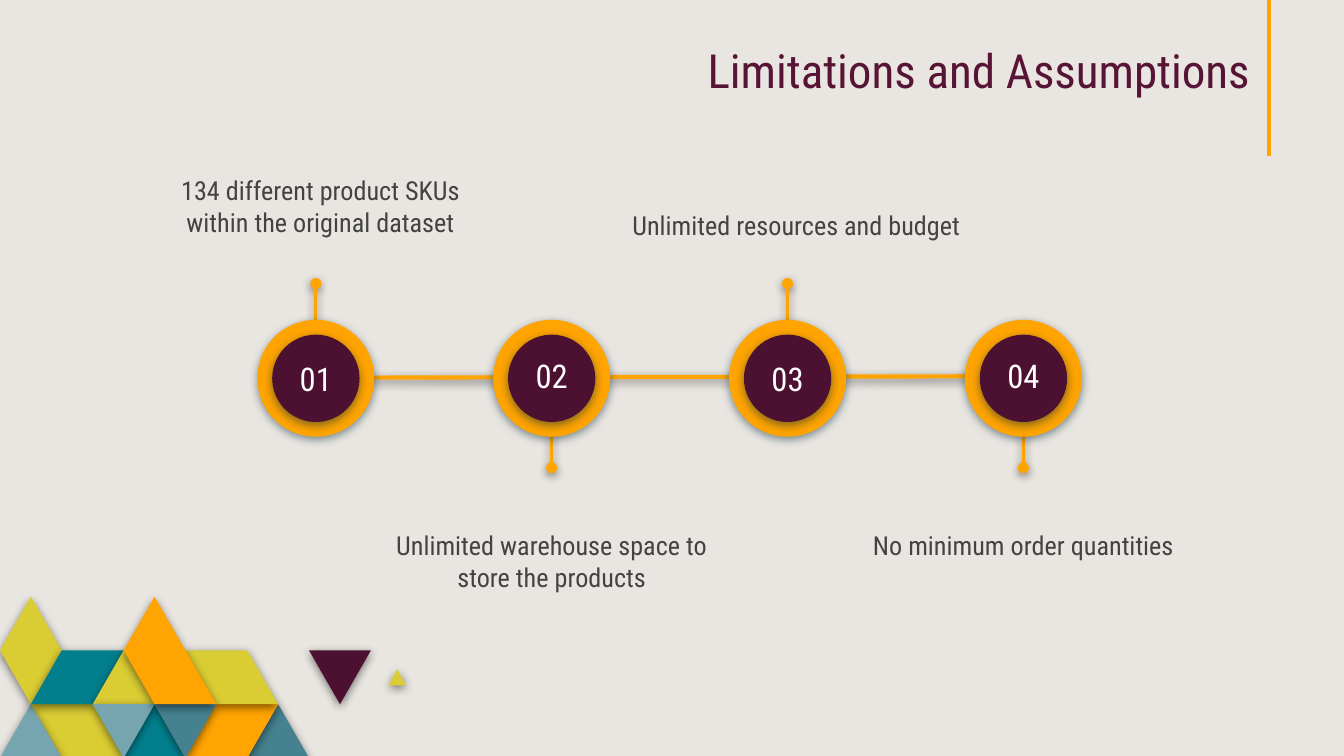
from lxml.etree import SubElement
from pptx import Presentation
from pptx.dml.color import RGBColor
from pptx.enum.shapes import MSO_CONNECTOR, MSO_SHAPE
from pptx.enum.text import MSO_ANCHOR, PP_ALIGN
from pptx.oxml.ns import qn
from pptx.util import Inches, Pt

ORANGE, PLUM, LIME = "FFA400", "4C1130", "DACC33"
TEAL, STEEL, MIST = "027F8D", "45818E", "76A5AF"
INK, WHITE, TITLE, SAND, RING_SHADOW = "434343", "FFFFFF", "571435", "E9E6E1", "0C2E3A"

MOSAIC = [
    (STEEL, [(10, 3), (9, 2), (8, 3)]),
    (ORANGE, [(9, 2), (7, 2), (6, 3), (8, 3)]),
    (LIME, [(4, 3), (3, 2), (1, 2), (2, 3)]),
    (MIST, [(2, 3), (1, 2), (0, 3)]),
    (TEAL, [(6, 3), (5, 2), (4, 3)]),
    (LIME, [(9, 2), (8, 1), (6, 1), (7, 2)]),
    (LIME, [(13.13, 1.65), (12.85, 1.35), (12.57, 1.65)]),
    (PLUM, [(12, 1), (10, 1), (11, 2)]),
    (LIME, [(2, 1), (1, 0), (0, 1), (1, 2)]),
    (TEAL, [(4, 1), (2, 1), (1, 2), (3, 2)]),
    (LIME, [(5, 2), (4, 1), (3, 2)]),
    (MIST, [(5, 2), (3, 2), (4, 3)]),
    (STEEL, [(7, 2), (5, 2), (6, 3)]),
    (ORANGE, [(7, 2), (5, 0), (4, 1), (5, 2)]),
]
LABELS = [
    ("134 different product SKUs within the original dataset", 1.1, 1.2, 2.57),
    ("Unlimited warehouse space to store the products", 2.81, 3.84, 2.59),
    ("Unlimited resources and budget", 4.43, 1.46, 2.99),
    ("No minimum order quantities", 6.25, 3.84, 2.73),
]


def colour(value):
    return RGBColor.from_string(value)


class Canvas:
    """Draws styled elements on the current slide."""

    font = "Roboto Condensed"

    def __init__(self, slide):
        self.slide = slide
        slide.background.fill.solid()
        slide.background.fill.fore_color.rgb = colour(SAND)

    def shadow(self, properties, shade):
        effects = SubElement(properties, qn("a:effectLst"))
        if shade:
            outer = SubElement(effects, qn("a:outerShdw"), blurRad=str(Pt(5)), dist=str(Pt(1.5)),
                               dir="5400000", algn="bl", rotWithShape="0")
            tint = SubElement(outer, qn("a:srgbClr"), val=shade)
            SubElement(tint, qn("a:alpha"), val="50000")

    def paint(self, shape, fill, shade):
        shape.fill.solid()
        shape.fill.fore_color.rgb = colour(fill)
        shape.line.fill.background()
        self.shadow(shape._element.spPr, shade)

    def tile(self, fill, points, left=0, top=4.44, column=0.23, row=0.4):
        corners = [(Inches(left + x * column), Inches(top + y * row)) for x, y in points]
        builder = self.slide.shapes.build_freeform(*corners[0])
        builder.add_line_segments(corners[1:], close=True)
        self.paint(builder.convert_to_shape(), fill, "000000")

    def circle(self, x, y, diameter, fill):
        corner = Inches(x - diameter / 2), Inches(y - diameter / 2)
        shape = self.slide.shapes.add_shape(MSO_SHAPE.OVAL, *corner, Inches(diameter), Inches(diameter))
        self.paint(shape, fill, RING_SHADOW)

    def line(self, start, end, width, shade=None, dot=False):
        ends = [Inches(value) for value in (*start, *end)]
        connector = self.slide.shapes.add_connector(MSO_CONNECTOR.STRAIGHT, *ends)
        connector.line.color.rgb = colour(ORANGE)
        connector.line.width = Pt(width)
        properties = connector._element.spPr
        if dot:
            SubElement(properties.find(qn("a:ln")), qn("a:tailEnd"), type="oval")
        self.shadow(properties, shade)

    def text(self, words, box, size, ink, align=PP_ALIGN.CENTER, anchor=MSO_ANCHOR.TOP):
        frame = self.slide.shapes.add_textbox(*[Inches(value) for value in box]).text_frame
        frame.word_wrap = True
        frame.vertical_anchor = anchor
        frame.margin_left = frame.margin_right = Inches(0.1)
        frame.margin_top = frame.margin_bottom = Inches(0.1)
        paragraph = frame.paragraphs[0]
        paragraph.alignment = align
        run = paragraph.add_run()
        run.text = words
        run.font.name = self.font
        run.font.size = Pt(size)
        run.font.color.rgb = colour(ink)


def main():
    presentation = Presentation()
    presentation.slide_width = Inches(10)
    presentation.slide_height = Inches(10 * 9 / 16)
    canvas = Canvas(presentation.slides.add_slide(presentation.slide_layouts[6]))

    for fill, points in MOSAIC:
        canvas.tile(fill, points)
    canvas.line((9.44, 0), (9.44, 1.16), 2.25)
    canvas.text("Limitations and Assumptions", (0.55, 0.2, 8.85, 0.63), 25.2, TITLE,
                PP_ALIGN.RIGHT, MSO_ANCHOR.BOTTOM)

    canvas.line((2.74, 2.81), (7.22, 2.8), 2.25, "000000")
    for index, (label, left, top, width) in enumerate(LABELS):
        x = 2.35 + 1.755 * index
        above = index % 2 == 0
        stem_start, stem_end = (2.49, 2.11) if above else (3.14, 3.48)
        canvas.line((x, stem_start), (x, stem_end), 1.5, "000000", dot=True)
        canvas.circle(x, 2.815, 0.87, ORANGE)
        canvas.circle(x, 2.815, 0.65, PLUM)
        number_top = 2.57 if above else 2.55
        canvas.text(f"{index + 1:02}", (x - 0.39, number_top, 0.78, 0.49), 17.5, WHITE,
                    anchor=MSO_ANCHOR.MIDDLE)
        canvas.text(label, (left, top, width, 0.75), 14, INK)

    presentation.save("out.pptx")


if __name__ == "__main__":
    main()
